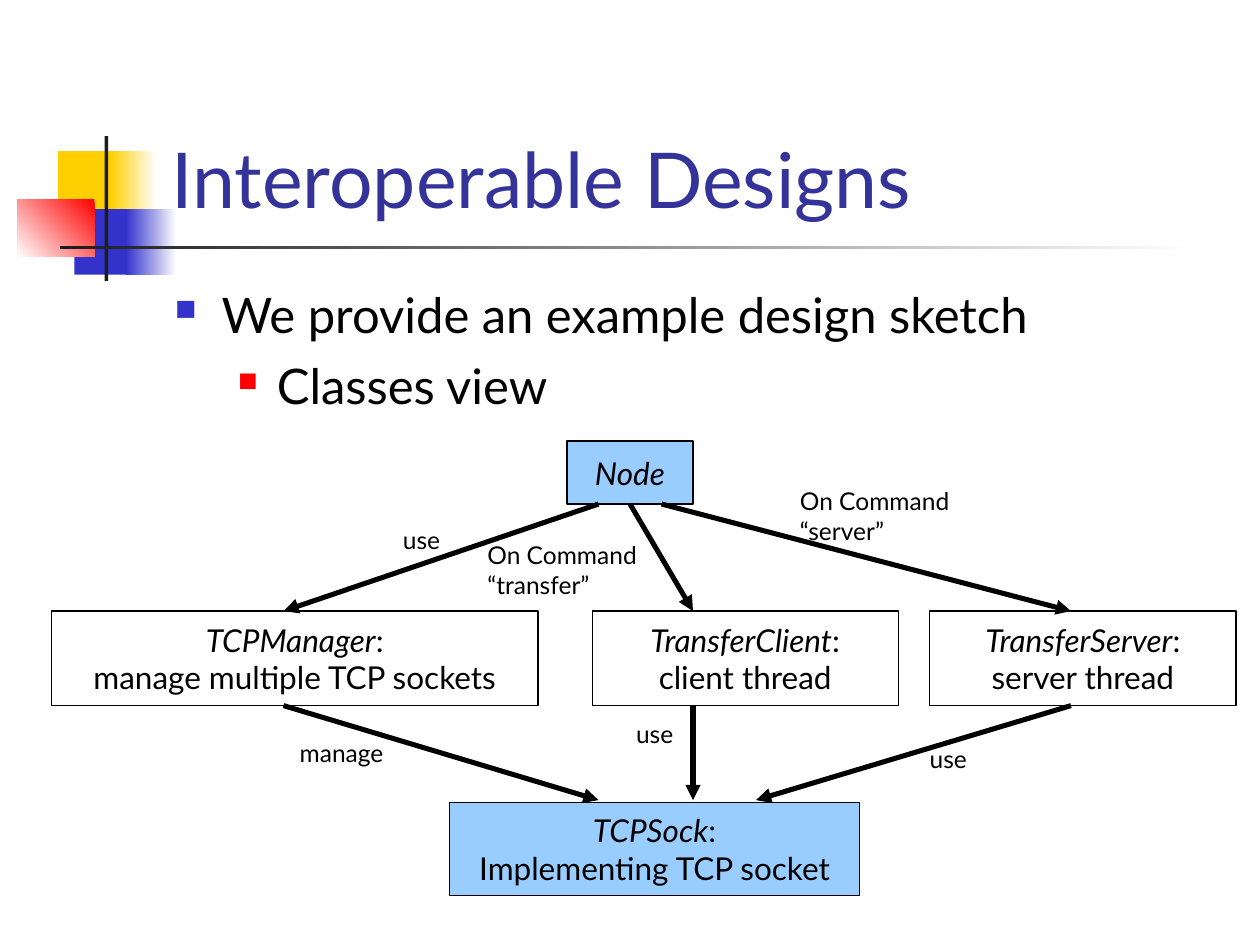
from lxml import etree
from pptx import Presentation
from pptx import util as u
from pptx.dml.color import RGBColor
from pptx.enum import shapes, text
from pptx.oxml.ns import qn

FONT = "Lato"
COLORS = {"yellow": "FFCF01", "blue": "3333CC", "red": "FF0000", "dark": "1C1C1C",
          "white": "FFFFFF", "black": "000000", "title": "333399", "sky": "99CCFF"}

TITLE = "Interoperable Designs"
BULLETS = [("We provide an example design sketch", 0, 0.37, 0.37, "blue", 60),
           ("Classes view", 1, 0.81, 0.31, "red", 55)]

ORNAMENTS = [
    ((0.46, 1.2, 0.48, 0.52), ["yellow"], 0),
    ((0.88, 1.2, 0.36, 0.52), ["white", "yellow"], 180),
    ((0.59, 1.66, 0.46, 0.52), ["blue"], 0),
    ((1, 1.66, 0.4, 0.52), ["white", "blue"], 180),
    ((0.14, 1.58, 0.61, 0.46), ["red", "white"], 225),
    ((0.83, 1.08, 0.03, 1.15), ["dark"], 0),
    ((0.48, 1.95, 9, 0.03), ["white", "dark"], 180),
]

CLASSES = [
    ("Node", "", (4.5, 3.5, 1, 0.5), "sky"),
    ("TCPManager", "manage multiple TCP sockets", (0.41, 4.85, 3.86, 0.75), "white"),
    ("TransferClient", "client thread", (4.7, 4.85, 2.43, 0.75), "white"),
    ("TransferServer", "server thread", (7.38, 4.85, 2.43, 0.75), "white"),
    ("TCPSock", "Implementing TCP socket", (3.57, 6.37, 3.25, 0.74), "sky"),
]

RELATIONS = [
    ("manage", (2.25, 5.6), (4.75, 6.35), (2.28, 5.81, 0.99, 0.33)),
    ("use", (5.5, 5.6), (5.5, 6.35), (4.95, 5.66, 0.54, 0.33)),
    ("use", (8.5, 5.6), (6, 6.35), (7.28, 5.86, 0.54, 0.33)),
    ("use", (4.75, 4), (2.25, 4.85), (3.1, 4.12, 0.54, 0.33)),
    ("On Command\n“transfer”", (5, 4), (5.5, 4.85), (3.77, 4.24, 1.54, 0.56)),
    ("On Command\n“server”", (5.25, 4), (8.5, 4.85), (6.25, 3.81, 1.54, 0.56)),
]


def rgb(name):
    return RGBColor.from_string(COLORS[name])


def inches(values):
    return [u.Inches(value) for value in values]


def write(paragraph, words, size, color="black", italic=False):
    for number, line in enumerate(words.split("\n")):
        if number:
            paragraph.add_line_break()
        if line:
            run = paragraph.add_run()
            run.text = line
            run.font.name, run.font.size = FONT, u.Pt(size)
            run.font.italic = italic
            run.font.color.rgb = rgb(color)


def add_rect(slide, place, colors, angle=0):
    rect = slide.shapes.add_shape(shapes.MSO_SHAPE.RECTANGLE, *inches(place))
    rect.shadow.inherit = False
    rect.line.fill.background()
    if len(colors) == 1:
        rect.fill.solid()
        rect.fill.fore_color.rgb = rgb(colors[0])
    else:
        rect.fill.gradient()
        rect.fill.gradient_angle = angle
        for stop, color in zip(rect.fill.gradient_stops, colors):
            stop.color.rgb = rgb(color)
    return rect


def add_title(slide):
    title = slide.shapes.title
    title.left, title.top, title.width, title.height = inches((1.26, 0.23, 8.52, 1.6))
    frame = title.text_frame
    frame.auto_size = text.MSO_AUTO_SIZE.NONE
    frame.vertical_anchor = text.MSO_ANCHOR.BOTTOM
    frame.paragraphs[0].alignment = text.PP_ALIGN.LEFT
    write(frame.paragraphs[0], TITLE, 44, "title")


def add_bullets(slide):
    frame = slide.shapes.add_textbox(*inches((1.29, 2.21, 8.5, 4.5))).text_frame
    frame.word_wrap = True
    for number, (words, level, margin, hang, color, percent) in enumerate(BULLETS):
        paragraph = frame.add_paragraph() if number else frame.paragraphs[0]
        paragraph.level = level
        props = paragraph._p.get_or_add_pPr()
        props.set("marL", str(u.Inches(margin)))
        props.set("indent", str(-u.Inches(hang)))
        tint = etree.SubElement(props, qn("a:buClr"))
        etree.SubElement(tint, qn("a:srgbClr"), val=COLORS[color])
        etree.SubElement(props, qn("a:buSzPct"), val=str(percent * 1000))
        etree.SubElement(props, qn("a:buChar"), char="■")
        if number:
            paragraph.space_before = u.Pt(7)
        write(paragraph, words, 28)


def add_class(slide, name, role, place, color):
    box = add_rect(slide, place, [color])
    box.line.color.rgb = rgb("black")
    box.line.width = u.Pt(0.75)
    frame = box.text_frame
    frame.word_wrap = False
    frame.vertical_anchor = text.MSO_ANCHOR.MIDDLE
    paragraph = frame.paragraphs[0]
    paragraph.alignment = text.PP_ALIGN.CENTER
    write(paragraph, name, 18, italic=True)
    if role:
        write(paragraph, ":\n" + role, 18)


def add_relation(slide, label, start, end, place):
    arrow = slide.shapes.add_connector(shapes.MSO_CONNECTOR.STRAIGHT, *inches(start + end))
    arrow.line.color.rgb = rgb("black")
    arrow.line.width = u.Pt(2.89)
    etree.SubElement(arrow.line._get_or_add_ln(), qn("a:tailEnd"), type="triangle")
    etree.SubElement(arrow._element.spPr, qn("a:effectLst"))
    frame = slide.shapes.add_textbox(*inches(place)).text_frame
    frame.word_wrap = False
    write(frame.paragraphs[0], label, 14)


def main():
    """Build the class view slide of the example design."""
    deck = Presentation()
    deck.slide_width, deck.slide_height = inches((10, 7.5))
    slide = deck.slides.add_slide(deck.slide_layouts[5])
    for ornament in ORNAMENTS:
        add_rect(slide, *ornament)
    add_title(slide)
    add_bullets(slide)
    for item in CLASSES:
        add_class(slide, *item)
    for relation in RELATIONS:
        add_relation(slide, *relation)
    deck.save("out.pptx")


if __name__ == "__main__":
    main()
